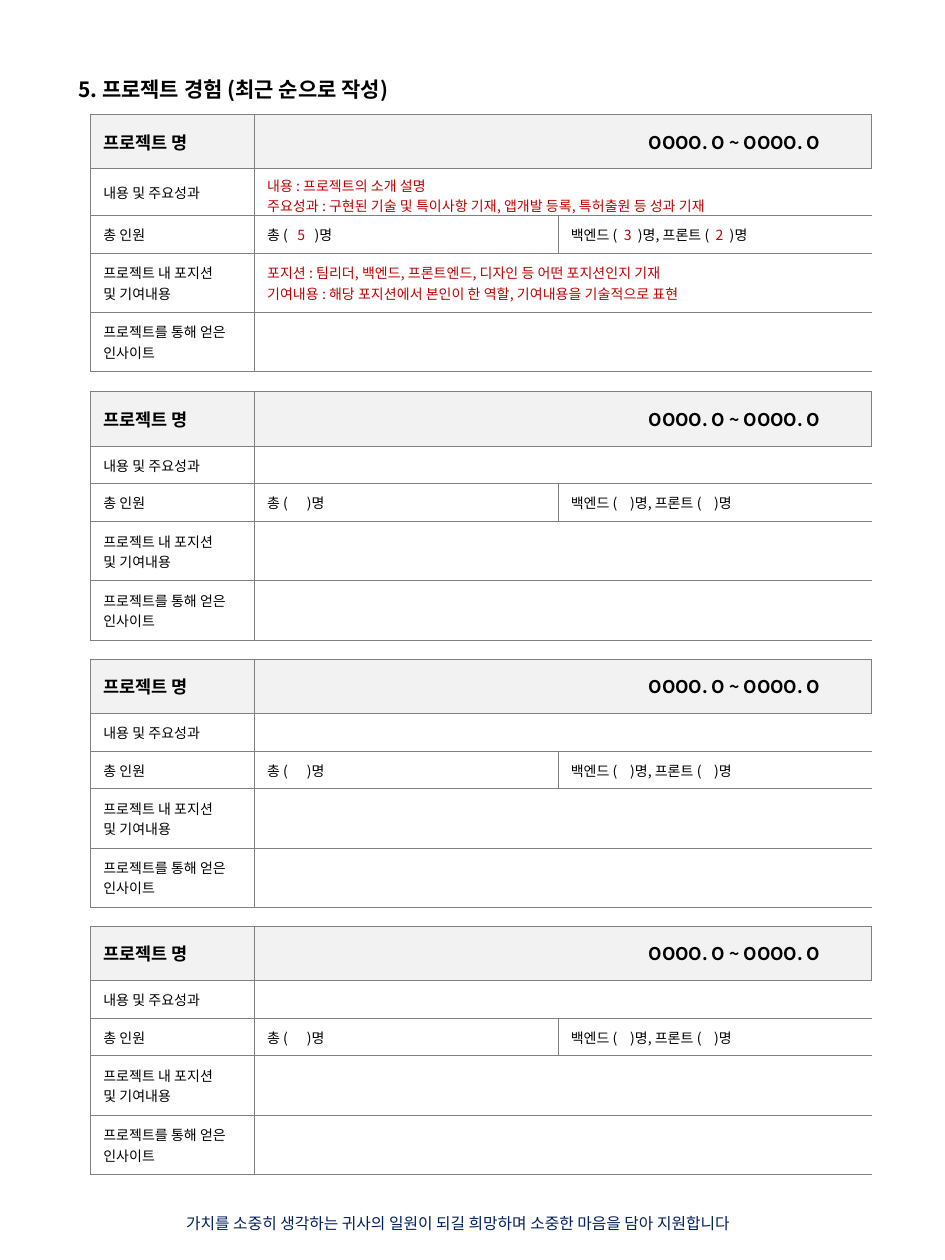
from dataclasses import dataclass

from lxml import etree
from pptx import Presentation
from pptx.dml.color import RGBColor
from pptx.enum.shapes import MSO_SHAPE
from pptx.enum.text import MSO_ANCHOR, MSO_AUTO_SIZE, PP_ALIGN
from pptx.oxml.ns import qn
from pptx.util import Inches, Pt

BOX = MSO_SHAPE.RECTANGLE
MIDDLE, TOP = MSO_ANCHOR.MIDDLE, MSO_ANCHOR.TOP
LEFT, CENTER, JUSTIFY = PP_ALIGN.LEFT, PP_ALIGN.CENTER, PP_ALIGN.JUSTIFY
GROW = MSO_AUTO_SIZE.SHAPE_TO_FIT_TEXT

FONT = "Noto Sans CJK KR"
BLACK = RGBColor(0x00, 0x00, 0x00)
WHITE = RGBColor(0xFF, 0xFF, 0xFF)
SHADE = RGBColor(0xF2, 0xF2, 0xF2)
GRAY = RGBColor(0x80, 0x80, 0x80)
RED = RGBColor(0xC0, 0x00, 0x00)
NAVY = RGBColor(0x00, 0x20, 0x60)

COLS = (1.3, 2.41, 0.34, 2.15)
ROWS = (0.43, 0.3, 0.3, 0.47, 0.47)
TALL = 0.37  # result row with two lines
LABELS = ("프로젝트 명", "내용 및 주요성과", "총 인원",
          "프로젝트 내 포지션\n및 기여내용", "프로젝트를 통해 얻은 \n인사이트")
MERGES = ((1, 2), (1, 3), (2, 3), (1, 3), (1, 3))
WALLS = ((0, 1, 4), (0, 1, 4), (0, 1, 2, 4), (0, 1, 4), (0, 1, 4))
PERIOD = "OOOO. O ~ OOOO. O "


@dataclass
class Project:
    top: float
    total: str = "총 (      )명"
    team: str = "백엔드 (    )명, 프론트 (    )명"
    result: str = ""
    role: str = ""


PROJECTS = [Project(
    0.91,
    total="총 (   *5*   )명",
    team="백엔드 (  *3*  )명, 프론트 (  *2*  )명",
    result="*내용 : 프로젝트의 소개 설명*\n"
           "*주요성과 : 구현된 기술 및 특이사항 기재, 앱개발 등록, 특허출원 등 성과 기재*",
    role="*포지션 : 팀리더, 백엔드, 프론트엔드, 디자인 등 어떤 포지션인지 기재*\n"
         "*기여내용 : 해당 포지션에서 본인이 한 역할, 기여내용을 기술적으로 표현*",
)] + [Project(3.11 + 2.12 * i) for i in range(3)]


def write(frame, text: str, size: float = 8, bold: bool = False,
          color: RGBColor = BLACK, align=LEFT) -> None:
    """Fill a text frame; parts between asterisks turn red."""
    for i, line in enumerate(text.split("\n")):
        para = frame.add_paragraph() if i else frame.paragraphs[0]
        para.alignment = align
        for j, part in enumerate(line.split("*")):
            if not part:
                continue
            run = para.add_run()
            run.text = part
            font = run.font
            font.name, font.size, font.bold = FONT, Pt(size), bold
            font.color.rgb = RED if j % 2 else color
            etree.SubElement(font._element, qn("a:ea"), typeface=FONT)
        if not line:  # keeps an empty cell from growing its row
            etree.SubElement(para._p, qn("a:endParaRPr"), sz=str(size * 100))


def border(cell, sides: str) -> None:
    props = cell._tc.get_or_add_tcPr()
    for side in "LRTB":
        line = etree.SubElement(props, qn("a:ln" + side), w=str(Pt(0.5)))
        if side in sides:
            fill = etree.SubElement(line, qn("a:solidFill"))
            etree.SubElement(fill, qn("a:srgbClr"), val=str(GRAY))
        else:
            etree.SubElement(line, qn("a:noFill"))


def draw_project(slide, item: Project) -> None:
    rows = list(ROWS)
    if item.result:
        rows[1] = TALL
    table = slide.shapes.add_table(
        len(rows), len(COLS), Inches(0.72), Inches(item.top),
        Inches(sum(COLS)), Inches(sum(rows))).table
    table.first_row = table.horz_banding = False
    for col, width in zip(table.columns, COLS):
        col.width = Inches(width)
    texts = {(r, 0): label for r, label in enumerate(LABELS)}
    texts |= {(0, 3): PERIOD, (1, 1): item.result, (2, 1): item.total,
              (2, 2): item.team, (3, 1): item.role}
    for r, height in enumerate(rows):
        table.rows[r].height = Inches(height)
        for c in range(len(COLS)):
            cell = table.cell(r, c)
            border(cell, "TB" + "L" * (c in WALLS[r]) + "R" * (c + 1 in WALLS[r]))
            cell.fill.solid()
            cell.fill.fore_color.rgb = WHITE if r else SHADE
            cell.vertical_anchor = MIDDLE
            if height == TALL:
                cell.margin_bottom = 0 if c else Inches(0.05)
            align = JUSTIFY if c == 0 else LEFT if r else CENTER
            write(cell.text_frame, texts.get((r, c), ""),
                  size=8 if r else 10, bold=r == 0, align=align)
        first, last = MERGES[r]
        table.cell(r, first).merge(table.cell(r, last))


def place(shape, left: float, top: float, width: float, height: float) -> None:
    shape.left, shape.top = Inches(left), Inches(top)
    shape.width, shape.height = Inches(width), Inches(height)


def main() -> None:
    deck = Presentation()
    deck.slide_width, deck.slide_height = Inches(7.5), Inches(10)
    slide = deck.slides.add_slide(deck.slide_layouts[5])

    foot = slide.shapes.add_shape(BOX, 0, 0, 0, 0)
    place(foot, 0.94, 9.64, 5.38, 0.13)
    foot.shadow.inherit = False
    foot.fill.solid()
    foot.fill.fore_color.rgb = WHITE
    foot.line.fill.background()
    foot.text_frame.vertical_anchor = MIDDLE
    write(foot.text_frame, "가치를 소중히 생각하는 귀사의 일원이 되길 희망하며 소중한 마음을 담아 지원합니다",
          size=9, color=NAVY, align=CENTER)

    title = slide.shapes.title
    place(title, 0.52, 0.56, 3.75, 0.3)
    title.text_frame.vertical_anchor = TOP
    title.text_frame.auto_size = GROW
    write(title.text_frame, "5. 프로젝트 경험 (최근 순으로 작성)", size=12, bold=True)

    for item in PROJECTS:
        draw_project(slide, item)
    deck.save("out.pptx")


if __name__ == "__main__":
    main()
